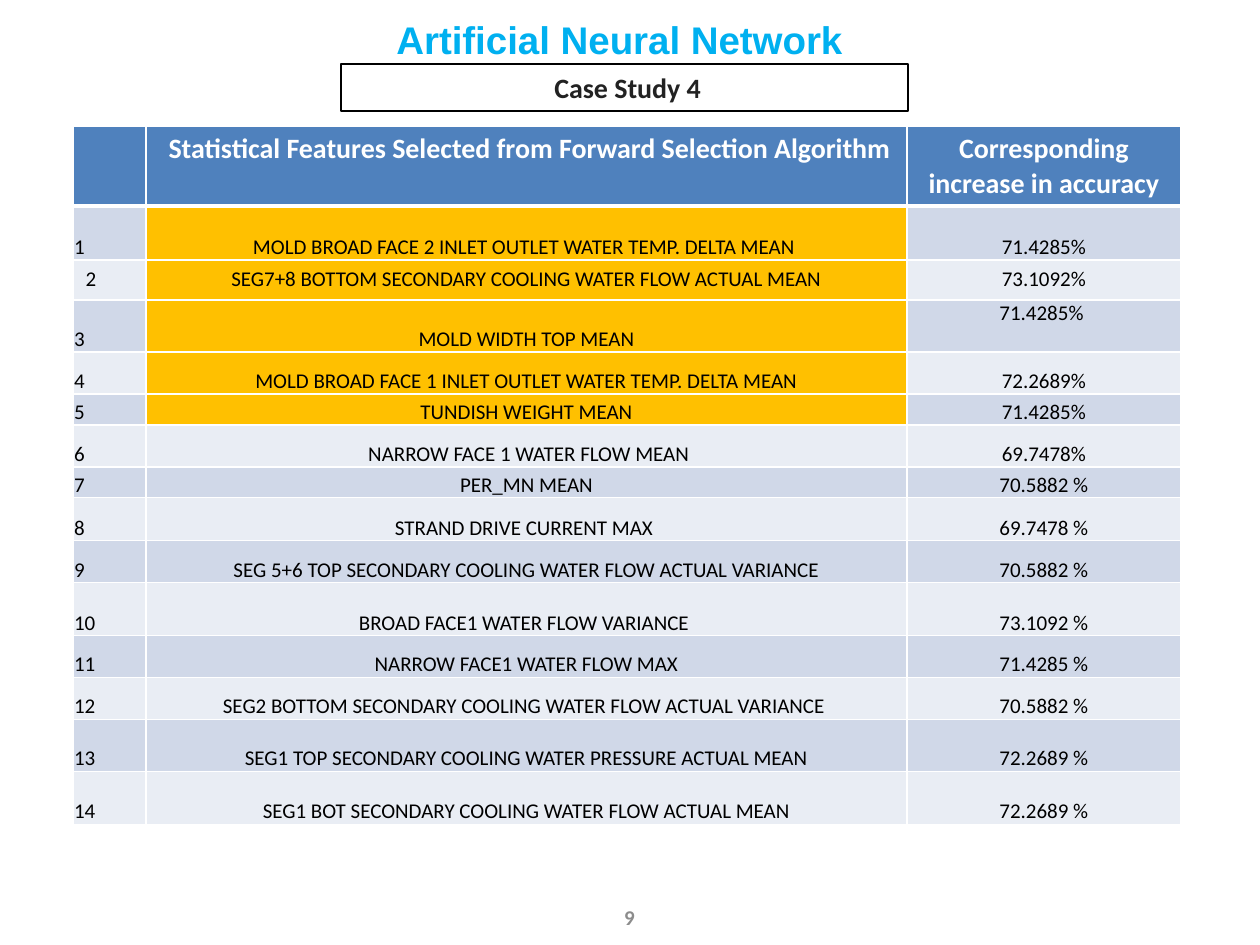
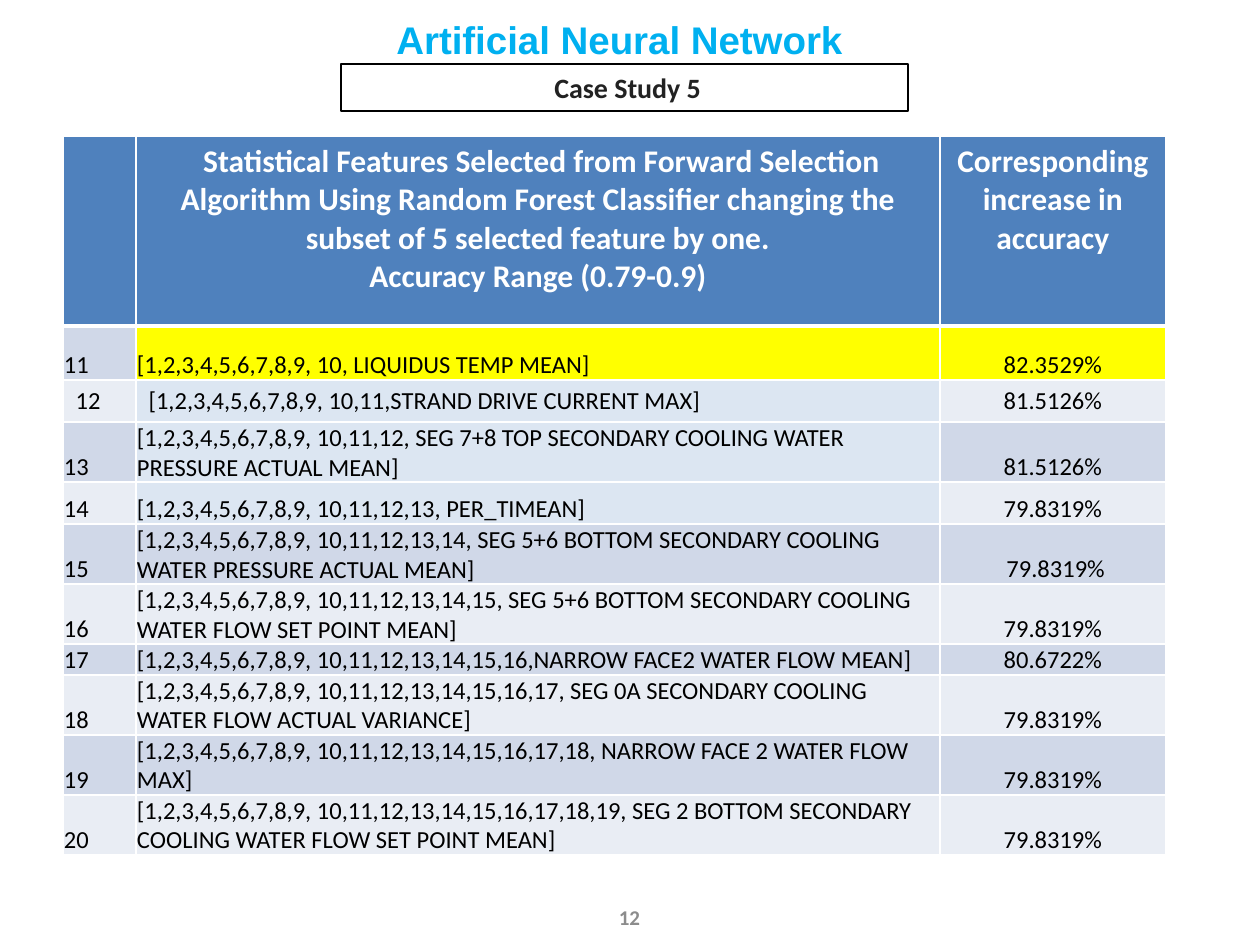
from dataclasses import dataclass, field
from typing import NamedTuple

import lxml.etree
import pptx
import pptx.dml.color
import pptx.enum.shapes
import pptx.enum.text
import pptx.oxml.ns
import pptx.util

EMU_PER_PX = 914400 / 126
ALIGN = pptx.enum.text.PP_ALIGN
ANCHOR = pptx.enum.text.MSO_ANCHOR


@dataclass(frozen=True)
class Theme:
    body_font: str = "Calibri"
    title_font: str = "Arial"
    title: str = "00B0F0"
    label: str = "222222"
    page_number: str = "8C8C8C"
    text: str = "000000"
    white: str = "FFFFFF"
    header: str = "4F81BD"
    bands: tuple[str, str] = ("D0D8E8", "E9EDF4")
    amber: str = "FFC000"
    yellow: str = "FFFF00"
    pale_blue: str = "DCE6F2"
    title_size: int = 22
    label_size: int = 16
    page_number_size: int = 12


THEME = Theme()


class Box(NamedTuple):
    left: int
    top: int
    width: int
    height: int


class TextStyle(NamedTuple):
    size: int
    color: str
    bold: bool = True
    font: str = THEME.body_font


class FeatureRow(NamedTuple):
    height: int
    feature: str
    accuracy: str
    feature_fill: str | None = None
    accuracy_fill: str | None = None
    padded: bool = False
    accuracy_anchor: ANCHOR = ANCHOR.BOTTOM


@dataclass(frozen=True)
class CaseStudy:
    number: int
    page: int
    left: int
    top: int
    columns: tuple[int, int, int]
    header_height: int
    header_size: int
    body_size: int
    feature_align: ALIGN
    header: str
    first_index: int
    rows: list[FeatureRow] = field(default_factory=list)


TITLE_BOX = Box(384, 10, 577, 34)
LABEL_BOX = Box(341, 64, 567, 47)
PAGE_BOX = Box(586, 892, 87, 50)
ACCURACY_HEADER = "Corresponding increase in accuracy"

CASE_STUDIES = [
    CaseStudy(
        number=4, page=9, left=73, top=126, columns=(73, 761, 274),
        header_height=80, header_size=16, body_size=12,
        feature_align=ALIGN.CENTER, first_index=1,
        header=" Statistical Features Selected from Forward Selection Algorithm",
        rows=[
            FeatureRow(54, "MOLD BROAD FACE 2 INLET OUTLET WATER TEMP. DELTA MEAN ", "71.4285%", THEME.amber),
            FeatureRow(40, "SEG7+8 BOTTOM SECONDARY COOLING WATER FLOW ACTUAL MEAN", "73.1092%",
                       THEME.amber, padded=True),
            FeatureRow(52, "MOLD WIDTH TOP MEAN", "71.4285% ", THEME.amber, accuracy_anchor=ANCHOR.TOP),
            FeatureRow(42, "MOLD BROAD FACE 1 INLET OUTLET WATER TEMP. DELTA MEAN", "72.2689%", THEME.amber),
            FeatureRow(31, "TUNDISH WEIGHT MEAN", "71.4285%", THEME.amber),
            FeatureRow(42, " NARROW FACE 1 WATER FLOW MEAN", "69.7478%"),
            FeatureRow(31, "PER_MN MEAN", "70.5882 %"),
            FeatureRow(43, "STRAND DRIVE CURRENT MAX ", "69.7478 %"),
            FeatureRow(42, "SEG 5+6 TOP SECONDARY COOLING WATER FLOW ACTUAL VARIANCE", "70.5882 %"),
            FeatureRow(53, "BROAD FACE1 WATER FLOW VARIANCE ", "73.1092 %"),
            FeatureRow(42, "NARROW FACE1 WATER FLOW MAX", "71.4285 %"),
            FeatureRow(42, "SEG2 BOTTOM SECONDARY COOLING WATER FLOW ACTUAL VARIANCE ", "70.5882 %"),
            FeatureRow(52, "SEG1 TOP SECONDARY COOLING WATER PRESSURE ACTUAL MEAN", "72.2689 %"),
            FeatureRow(53, "SEG1 BOT SECONDARY COOLING WATER FLOW ACTUAL MEAN", "72.2689 %"),
        ],
    ),
    CaseStudy(
        number=5, page=12, left=63, top=136, columns=(73, 804, 226),
        header_height=190, header_size=18, body_size=14,
        feature_align=ALIGN.LEFT, first_index=11,
        header=" Statistical Features Selected from Forward Selection Algorithm Using Random Forest "
               "Classifier changing the subset of 5 selected feature by one.\nAccuracy Range (0.79-0.9)",
        rows=[
            FeatureRow(54, "[1,2,3,4,5,6,7,8,9, 10, LIQUIDUS TEMP MEAN]", "82.3529%",
                       THEME.yellow, THEME.yellow),
            FeatureRow(42, "[1,2,3,4,5,6,7,8,9, 10,11,STRAND DRIVE CURRENT MAX]", "81.5126%",
                       THEME.pale_blue, padded=True),
            FeatureRow(60, "[1,2,3,4,5,6,7,8,9, 10,11,12, SEG 7+8 TOP SECONDARY COOLING WATER "
                       "PRESSURE ACTUAL MEAN]", "81.5126%", THEME.pale_blue),
            FeatureRow(42, "[1,2,3,4,5,6,7,8,9, 10,11,12,13, PER_TIMEAN]", "79.8319%", THEME.pale_blue),
            FeatureRow(60, "[1,2,3,4,5,6,7,8,9, 10,11,12,13,14, SEG 5+6 BOTTOM SECONDARY COOLING "
                       "WATER PRESSURE ACTUAL MEAN]", " 79.8319%"),
            FeatureRow(60, "[1,2,3,4,5,6,7,8,9, 10,11,12,13,14,15, SEG 5+6 BOTTOM SECONDARY COOLING "
                       "WATER FLOW SET POINT MEAN]", "79.8319%"),
            FeatureRow(31, "[1,2,3,4,5,6,7,8,9, 10,11,12,13,14,15,16,NARROW FACE2 WATER FLOW MEAN]", "80.6722%"),
            FeatureRow(60, "[1,2,3,4,5,6,7,8,9, 10,11,12,13,14,15,16,17, SEG 0A SECONDARY COOLING "
                       "WATER FLOW ACTUAL VARIANCE]", "79.8319%"),
            FeatureRow(60, "[1,2,3,4,5,6,7,8,9, 10,11,12,13,14,15,16,17,18, NARROW FACE 2 WATER FLOW MAX]",
                       "79.8319%"),
            FeatureRow(60, "[1,2,3,4,5,6,7,8,9, 10,11,12,13,14,15,16,17,18,19, SEG 2 BOTTOM SECONDARY "
                       "COOLING WATER FLOW SET POINT MEAN]", "79.8319%"),
        ],
    ),
]


def px(length: int) -> int:
    return round(length * EMU_PER_PX)


def rgb(color: str) -> pptx.dml.color.RGBColor:
    return pptx.dml.color.RGBColor.from_string(color)


def write(text_frame, text: str, style: TextStyle, align: ALIGN) -> None:
    text_frame.word_wrap = True
    text_frame.text = text
    for paragraph in text_frame.paragraphs:
        paragraph.alignment = align
        paragraph.font.name = style.font
        paragraph.font.size = pptx.util.Pt(style.size)
        paragraph.font.bold = style.bold
        paragraph.font.color.rgb = rgb(style.color)


# Shared title, case label and page number
def add_text(slide, box: Box, text: str, style: TextStyle, align: ALIGN):
    shape = slide.shapes.add_textbox(*map(px, box))
    write(shape.text_frame, text, style, align)
    return shape


def add_frame(slide, case: CaseStudy) -> None:
    page_number = add_text(slide, PAGE_BOX, str(case.page),
                           TextStyle(THEME.page_number_size, THEME.page_number), ALIGN.CENTER)
    page_number.text_frame.vertical_anchor = ANCHOR.MIDDLE
    add_text(slide, TITLE_BOX, "Artificial Neural Network",
             TextStyle(THEME.title_size, THEME.title, font=THEME.title_font), ALIGN.LEFT)


def add_case_label(slide, number: int) -> None:
    label = slide.shapes.add_shape(pptx.enum.shapes.MSO_SHAPE.RECTANGLE, *map(px, LABEL_BOX))
    label.shadow.inherit = False
    label.fill.background()
    label.line.color.rgb = rgb(THEME.text)
    label.line.width = pptx.util.Pt(0.75)
    write(label.text_frame, f" Case Study {number}", TextStyle(THEME.label_size, THEME.label), ALIGN.CENTER)


# Feature table
def set_borders(cell, top: int, bottom: int) -> None:
    properties = cell._tc.get_or_add_tcPr()
    widths = {"a:lnL": 1, "a:lnR": 1, "a:lnT": top, "a:lnB": bottom}
    for position, (tag, points) in enumerate(widths.items()):
        line = lxml.etree.Element(pptx.oxml.ns.qn(tag), w=str(pptx.util.Pt(points)))
        fill = lxml.etree.SubElement(line, pptx.oxml.ns.qn("a:solidFill"))
        lxml.etree.SubElement(fill, pptx.oxml.ns.qn("a:srgbClr"), val=THEME.white)
        properties.insert(position, line)


def fill_cell(cell, text: str, style: TextStyle, align: ALIGN, color: str) -> None:
    write(cell.text_frame, text, style, align)
    cell.fill.solid()
    cell.fill.fore_color.rgb = rgb(color)


def add_feature_table(slide, case: CaseStudy) -> None:
    heights = [case.header_height] + [row.height for row in case.rows]
    box = Box(case.left, case.top, sum(case.columns), sum(heights))
    table = slide.shapes.add_table(len(heights), len(case.columns), *map(px, box)).table
    for column, width in zip(table.columns, case.columns):
        column.width = px(width)
    for table_row, height in zip(table.rows, heights):
        table_row.height = px(height)

    header_style = TextStyle(case.header_size, THEME.white)
    for column, text in enumerate(("", case.header, ACCURACY_HEADER)):
        cell = table.cell(0, column)
        fill_cell(cell, text, header_style, ALIGN.CENTER, THEME.header)
        set_borders(cell, 1, 3)

    body_style = TextStyle(case.body_size, THEME.text, bold=False)
    aligns = (ALIGN.LEFT, case.feature_align, ALIGN.CENTER)
    for index, row in enumerate(case.rows):
        band = THEME.bands[index % 2]
        texts = (str(case.first_index + index), row.feature, row.accuracy)
        fills = (band, row.feature_fill or band, row.accuracy_fill or band)
        anchors = (ANCHOR.BOTTOM, ANCHOR.BOTTOM, row.accuracy_anchor)
        for column, (text, align, color, anchor) in enumerate(zip(texts, aligns, fills, anchors)):
            cell = table.cell(index + 1, column)
            fill_cell(cell, text, body_style, align, color)
            set_borders(cell, 3 if index == 0 else 1, 1)
            if not row.padded:
                cell.vertical_anchor = anchor
                cell.margin_left = cell.margin_right = cell.margin_top = px(1)
                cell.margin_bottom = 0


def main() -> None:
    presentation = pptx.Presentation()
    presentation.slide_width = px(1260)
    presentation.slide_height = px(945)
    for case in CASE_STUDIES:
        slide = presentation.slides.add_slide(presentation.slide_layouts[6])
        add_frame(slide, case)
        add_feature_table(slide, case)
        add_case_label(slide, case.number)
    presentation.save("out.pptx")


if __name__ == "__main__":
    main()
